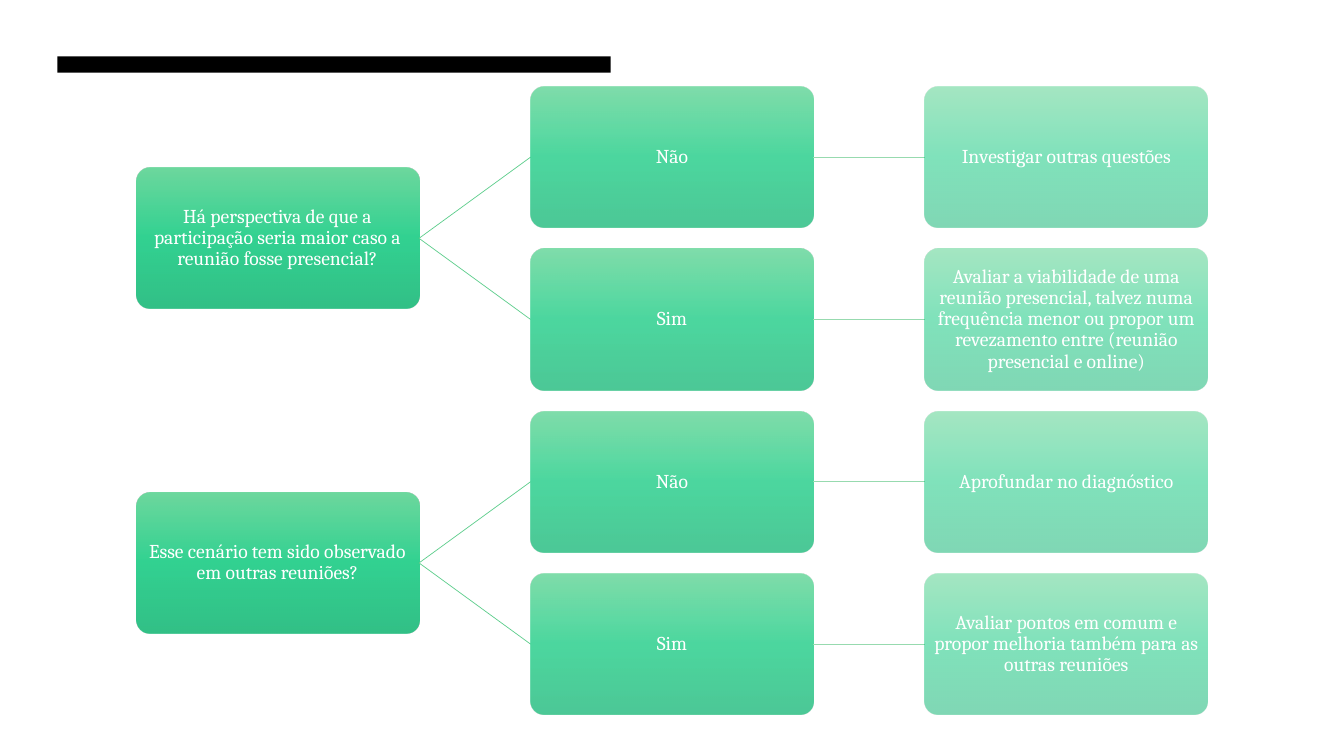
import pptx
import pptx.util
import pptx.dml.color
import pptx.enum.shapes
import pptx.enum.text
import pptx.oxml
import pptx.oxml.ns
from pptx.util import Cm
import lxml.etree

COLORS = {
    "bar": "000000", "text": "FFFFFF",
    "top": "4BCF87", "mid": "00C777", "low": "00B16A",
    "fork": "5ECE8D", "link": "97DAAF",
}
# Box grid, in centimetres
LEFT, TOP = 3.43, 2.18
WIDE, HIGH = 7.13, 3.56
STEP_X, STEP_Y = 9.94, 4.09
ALPHA = [80, 70, 50]

TREE = [
    ("Há perspectiva de que a participação seria maior caso a reunião fosse presencial?", [
        ("Não", "Investigar outras questões"),
        ("Sim", "Avaliar a viabilidade de uma reunião presencial, talvez numa frequência "
                "menor ou propor um revezamento entre (reunião presencial e online)"),
    ]),
    ("Esse cenário tem sido observado em outras reuniões?", [
        ("Não", "Aprofundar no diagnóstico"),
        ("Sim", "Avaliar pontos em comum e propor melhoria também para as outras reuniões"),
    ]),
]


def color(name):
    return pptx.dml.color.RGBColor.from_string(COLORS[name])


class Chart:
    """Decision tree with its style, drawn on one slide."""

    font, size = "Cambria", 14

    def __init__(self, slide):
        self.shapes = slide.shapes

    def bar(self, x, y, w, h):
        kind = pptx.enum.shapes.MSO_SHAPE.RECTANGLE
        bar = self.shapes.add_shape(kind, Cm(x), Cm(y), Cm(w), Cm(h))
        bar.shadow.inherit = False
        bar.fill.solid()
        bar.fill.fore_color.rgb = color("bar")
        bar.line.fill.background()

    def shade(self, box, alpha):
        stops = "".join(
            f'<a:gs pos="{pos}"><a:srgbClr val="{COLORS[name]}">'
            f'<a:alpha val="{alpha * 1000}"/></a:srgbClr></a:gs>'
            for pos, name in [(0, "top"), (50000, "mid"), (100000, "low")])
        grad = pptx.oxml.parse_xml(
            f'<a:gradFill {pptx.oxml.ns.nsdecls("a")} rotWithShape="1">'
            f'<a:gsLst>{stops}</a:gsLst><a:lin ang="5400000" scaled="0"/></a:gradFill>')
        box.element.spPr.insert(2, grad)  # right after the geometry

    def box(self, col, row, text):
        kind = pptx.enum.shapes.MSO_SHAPE.ROUNDED_RECTANGLE
        x, y = LEFT + col * STEP_X, TOP + row * STEP_Y
        box = self.shapes.add_shape(kind, Cm(x), Cm(y), Cm(WIDE), Cm(HIGH))
        box.adjustments[0] = 0.1
        box.shadow.inherit = False
        box.line.fill.background()
        self.shade(box, ALPHA[col])
        frame = box.text_frame
        frame.word_wrap = True
        frame.vertical_anchor = pptx.enum.text.MSO_ANCHOR.MIDDLE
        frame.margin_left = frame.margin_right = Cm(0.03)
        frame.margin_top = frame.margin_bottom = Cm(0.03)
        frame.text = text
        para = frame.paragraphs[0]
        para.alignment = pptx.enum.text.PP_ALIGN.CENTER
        para.line_spacing = 0.9
        para.font.name = self.font
        para.font.size = pptx.util.Pt(self.size)
        para.font.color.rgb = color("text")

    def line(self, col, start, end, name):
        """Join a box in one column to a box in the next."""
        x = LEFT + col * STEP_X + WIDE
        y1, y2 = (TOP + row * STEP_Y + HIGH / 2 for row in (start, end))
        kind = pptx.enum.shapes.MSO_CONNECTOR.STRAIGHT
        line = self.shapes.add_connector(
            kind, Cm(x), Cm(y1), Cm(LEFT + (col + 1) * STEP_X), Cm(y2))
        line.line.color.rgb = color(name)
        line.line.width = pptx.util.Pt(0.5)
        lxml.etree.SubElement(line.element.spPr, pptx.oxml.ns.qn("a:effectLst"))


def main():
    deck = pptx.Presentation()
    deck.slide_width, deck.slide_height = Cm(33.87), Cm(19.05)
    chart = Chart(deck.slides.add_slide(deck.slide_layouts[6]))

    # Accent bar
    chart.bar(1.45, 1.42, 13.94, 0.41)

    # Questions, answers and actions
    for i, (ask, replies) in enumerate(TREE):
        mid = 2 * i + 0.5
        chart.box(0, mid, ask)
        for row, (reply, action) in enumerate(replies, 2 * i):
            chart.line(0, mid, row, "fork")
            chart.box(1, row, reply)
            chart.line(1, row, row, "link")
            chart.box(2, row, action)

    deck.save("out.pptx")


if __name__ == "__main__":
    main()
